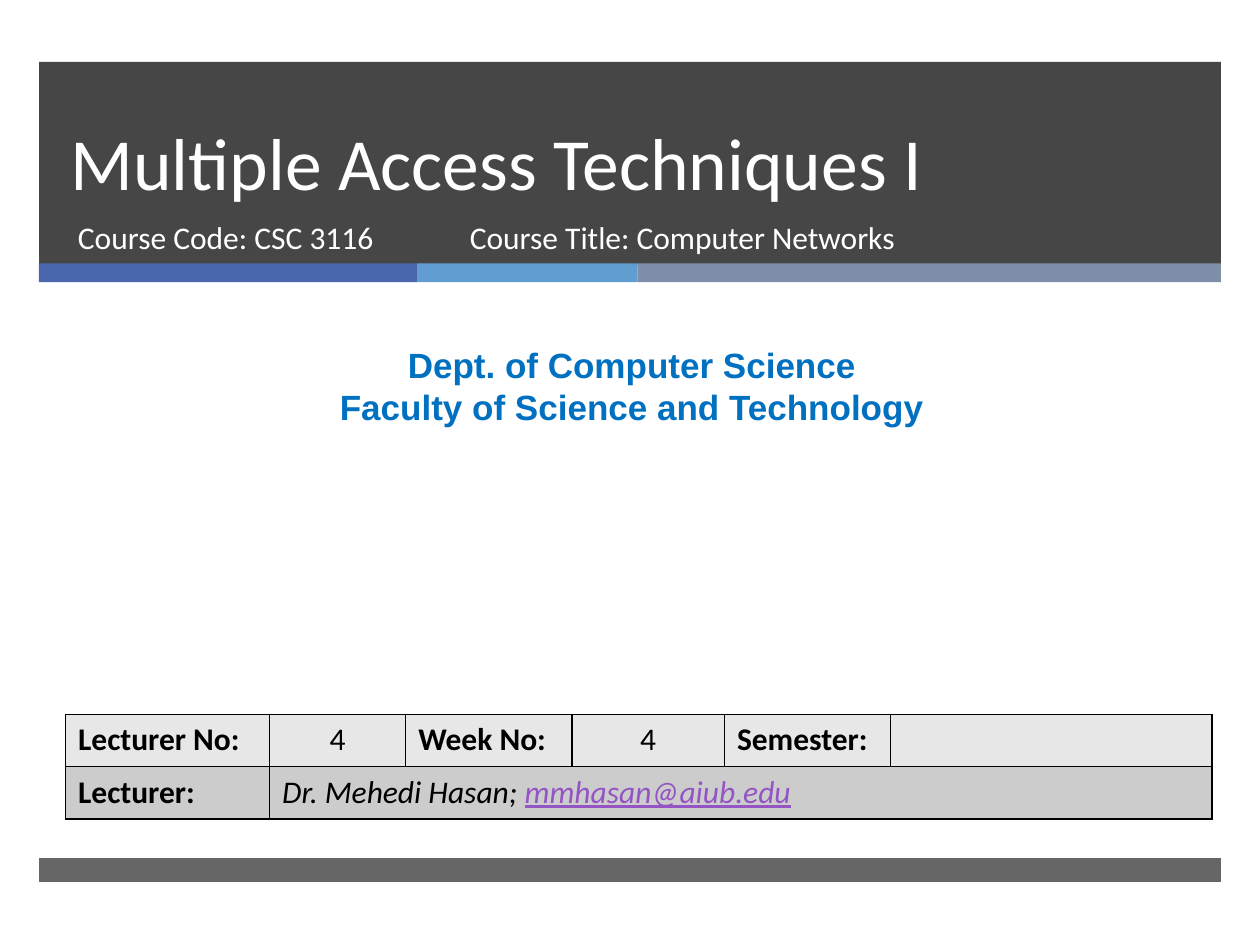
"""Build the title slide of a lecture on multiple access techniques."""
from lxml import etree
from pptx import Presentation
from pptx.dml.color import RGBColor
from pptx.enum.shapes import MSO_SHAPE as SHAPE
from pptx.enum.text import MSO_ANCHOR as ANCHOR, PP_ALIGN as ALIGN
from pptx.oxml.ns import qn
from pptx.util import Inches, Pt

WHITE = RGBColor(0xFF, 0xFF, 0xFF)
BLACK = RGBColor(0, 0, 0)
DARK = RGBColor(0x26, 0x26, 0x26)
NAVY = RGBColor(0x4A, 0x66, 0xAC)
SKY = RGBColor(0x62, 0x9D, 0xD1)
SLATE = RGBColor(0x7F, 0x8F, 0xA9)
BLUE = RGBColor(0x00, 0x70, 0xC0)
PURPLE = RGBColor(0x94, 0x54, 0xC3)
LIGHT_ROW = RGBColor(0xE7, 0xE7, 0xE7)
DARK_ROW = RGBColor(0xCC, 0xCC, 0xCC)


def add_run(p, text, size, color, name="Calibri", bold=False, italic=False):
    r = p.add_run()
    r.text = text
    r.font.size, r.font.name = Pt(size), name
    r.font.bold, r.font.italic = bold, italic
    r.font.color.rgb = color
    return r


def add_border(cell):
    tc_pr = cell._tc.get_or_add_tcPr()
    for i, side in enumerate(("lnL", "lnR", "lnT", "lnB")):
        ln = etree.Element(qn(f"a:{side}"), w=str(Pt(1)))
        fill = etree.SubElement(ln, qn("a:solidFill"))
        etree.SubElement(fill, qn("a:srgbClr"), val=str(BLACK))
        tc_pr.insert(i, ln)


prs = Presentation()
prs.slide_width, prs.slide_height = Inches(10), Inches(7.5)
s = prs.slides.add_slide(prs.slide_layouts[5])

bars = [
    (0.31, 0.49, 9.38, 1.61, DARK, 85),
    (0.31, 2.09, 3, 0.15, NAVY, 100),
    (3.31, 2.09, 1.75, 0.15, SKY, 100),
    (5.06, 2.09, 4.63, 0.15, SLATE, 100),
    (0.31, 6.81, 9.38, 0.19, DARK, 70),
]
for x, y, w, h, color, opacity in bars:
    sp = s.shapes.add_shape(SHAPE.RECTANGLE, Inches(x), Inches(y), Inches(w), Inches(h))
    sp.shadow.inherit = False
    sp.fill.solid()
    sp.fill.fore_color.rgb = color
    sp.line.fill.background()
    if opacity < 100:
        clr = sp.element.spPr.find(qn("a:solidFill")).find(qn("a:srgbClr"))
        etree.SubElement(clr, qn("a:alpha"), val=str(opacity * 1000))

title = s.shapes.title
title.element.getparent().append(title.element)
title.left, title.top = Inches(0.46), Inches(0.49)
title.width, title.height = Inches(8.54), Inches(1.19)
tf = title.text_frame
tf.word_wrap = True
tf.vertical_anchor = ANCHOR.BOTTOM
p = tf.paragraphs[0]
p.alignment = ALIGN.LEFT
p.line_spacing = Pt(46)
add_run(p, "Multiple Access Techniques I", 42, WHITE)

courses = [
    (0.52, 3.05, "Course Code: CSC 3116"),
    (3.63, 4.55, "Course Title: Computer Networks"),
]
for x, w, text in courses:
    tf = s.shapes.add_textbox(Inches(x), Inches(1.68), Inches(w), Inches(0.53)).text_frame
    tf.word_wrap = True
    add_run(tf.paragraphs[0], text, 18, WHITE)

tf = s.shapes.add_textbox(Inches(0.08), Inches(2.68), Inches(9.87), Inches(0.77)).text_frame
tf.word_wrap = True
for i, text in enumerate(("Dept. of Computer Science", "Faculty of Science and Technology")):
    p = tf.add_paragraph() if i else tf.paragraphs[0]
    p.alignment = ALIGN.CENTER
    p.line_spacing = Pt(24)
    add_run(p, text, 20, BLUE, "Arial", bold=True)

widths = [1.62, 1.08, 1.32, 1.21, 1.32, 2.55]
table = s.shapes.add_table(
    2, len(widths), Inches(0.52), Inches(5.67), Inches(9.12), Inches(0.83)
).table
for col, w in zip(table.columns, widths):
    col.width = Inches(w)
for row, color in zip(table.rows, (LIGHT_ROW, DARK_ROW)):
    for cell in row.cells:
        cell.fill.solid()
        cell.fill.fore_color.rgb = color
        add_border(cell)
table.cell(1, 1).merge(table.cell(1, 5))

for i, text in enumerate(("Lecturer No:", "4", "Week No:", "4", "Semester:")):
    p = table.cell(0, i).text_frame.paragraphs[0]
    is_label = i % 2 == 0
    p.alignment = ALIGN.LEFT if is_label else ALIGN.CENTER
    add_run(p, text, 18, BLACK, bold=is_label)
add_run(table.cell(1, 0).text_frame.paragraphs[0], "Lecturer:", 18, BLACK, bold=True)
p = table.cell(1, 1).text_frame.paragraphs[0]
add_run(p, "Dr. Mehedi Hasan; ", 18, BLACK, italic=True)
r = add_run(p, "mmhasan@aiub.edu", 18, PURPLE, italic=True)
r.font.underline = True

prs.save("out.pptx")
